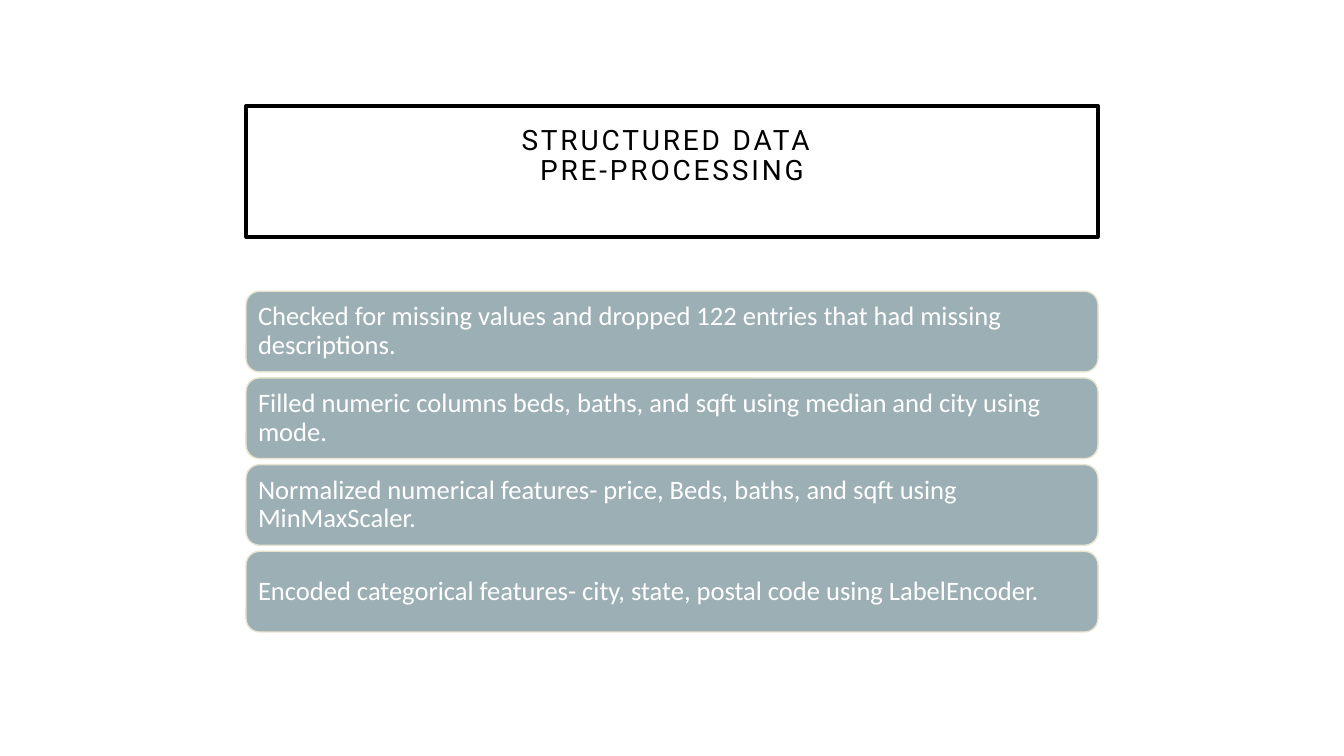
from pptx import Presentation
from pptx.dml.color import RGBColor
from pptx.enum.shapes import MSO_SHAPE
from pptx.enum.text import MSO_ANCHOR, MSO_AUTO_SIZE, PP_ALIGN
from pptx.util import Inches, Pt

ROUNDED = MSO_SHAPE.ROUNDED_RECTANGLE
TOP, MIDDLE = MSO_ANCHOR.TOP, MSO_ANCHOR.MIDDLE
LEFT, CENTER = PP_ALIGN.LEFT, PP_ALIGN.CENTER
NO_FIT = MSO_AUTO_SIZE.NONE

COLORS = {"black": "000000", "white": "FFFFFF", "bar": "9BAFB5", "edge": "E8E3CE"}
BOX_LEFT, BOX_WIDTH = 2.44, 8.45
BAR_TOP, BAR_HEIGHT, BAR_PITCH = 2.89, 0.8, 0.86

TITLE_LINES = ["STRUCTURED DATA ", "PRE-PROCESSING"]
STEPS = [
    "Checked for missing values and dropped 122 entries that had missing descriptions.",
    "Filled numeric columns beds, baths, and sqft using median and city using mode.",
    "Normalized numerical features- price, Beds, baths, and sqft using MinMaxScaler.",
    "Encoded categorical features- city, state, postal code using LabelEncoder.",
]


def rgb(name):
    """Return the named colour."""
    return RGBColor.from_string(COLORS[name])


def set_line(shape, color, width):
    """Outline a shape."""
    shape.line.color.rgb = rgb(color)
    shape.line.width = Pt(width)


def set_frame(shape, anchor, inset, align):
    """Prepare a shape's text frame and return its first paragraph."""
    tf = shape.text_frame
    tf.word_wrap = True
    tf.auto_size = NO_FIT
    tf.vertical_anchor = anchor
    tf.margin_left = tf.margin_right = Inches(inset)
    tf.margin_top = tf.margin_bottom = Inches(inset)
    p = tf.paragraphs[0]
    p.alignment = align
    p.line_spacing = 0.9
    return p


def add_run(p, text, font, size, color):
    """Add one formatted run to a paragraph."""
    r = p.add_run()
    r.text = text
    r.font.name = font
    r.font.size = Pt(size)
    r.font.color.rgb = rgb(color)
    return r


def add_title(s):
    """Place the framed title with letter-spaced lines."""
    sp = s.shapes.title
    sp.left, sp.top = Inches(BOX_LEFT), Inches(1.05)
    sp.width, sp.height = Inches(BOX_WIDTH), Inches(1.3)
    set_line(sp, "black", 2.5)
    p = set_frame(sp, TOP, 0.2, CENTER)
    for i, line in enumerate(TITLE_LINES):
        if i:
            p.add_line_break()
        r = add_run(p, line, "Roboto", 20, "black")
        r.font._element.set("spc", "200")


def add_step(s, top, text):
    """Add one rounded bar holding a processing step."""
    sp = s.shapes.add_shape(ROUNDED, Inches(BOX_LEFT), Inches(top),
                            Inches(BOX_WIDTH), Inches(BAR_HEIGHT))
    sp.shadow.inherit = False
    sp.fill.solid()
    sp.fill.fore_color.rgb = rgb("bar")
    set_line(sp, "edge", 1)
    p = set_frame(sp, MIDDLE, 0.08, LEFT)
    add_run(p, text, "Calibri", 19, "white")


def main():
    """Build the slide and save it."""
    prs = Presentation()
    prs.slide_width, prs.slide_height = Inches(13.33), Inches(7.5)
    s = prs.slides.add_slide(prs.slide_layouts[5])
    add_title(s)
    for i, text in enumerate(STEPS):
        add_step(s, BAR_TOP + i * BAR_PITCH, text)
    prs.save("out.pptx")


if __name__ == "__main__":
    main()
